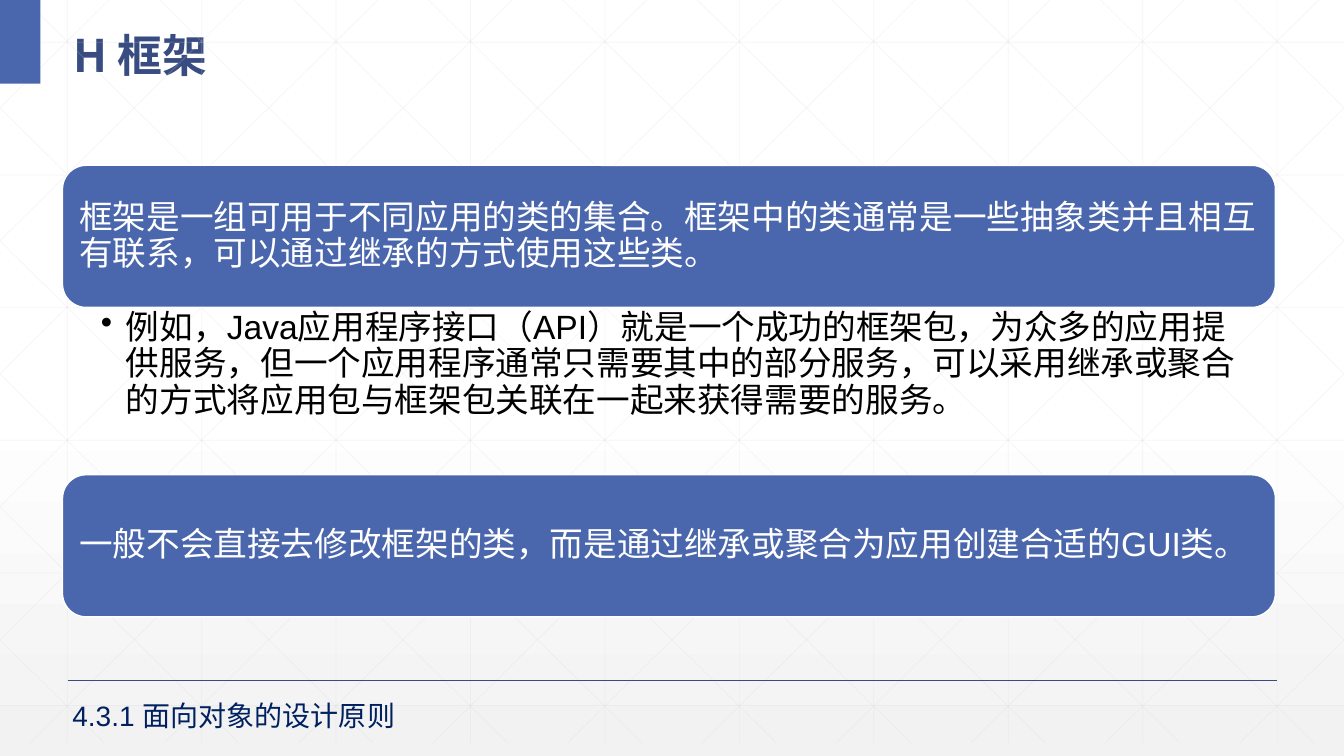
from lxml import etree
from pptx import Presentation
from pptx.dml.color import RGBColor
from pptx.enum import shapes, text
from pptx.oxml import ns
from pptx.util import Inches, Pt

TITLE = "H 框架"
STATEMENTS = [
    (1.64, "框架是一组可用于不同应用的类的集合。框架中的类通常是一些抽象类并且相互有联系，可以通过继承的方式使用这些类。"),
    (4.71, "一般不会直接去修改框架的类，而是通过继承或聚合为应用创建合适的GUI类。"),
]
EXAMPLE = "例如，Java应用程序接口（API）就是一个成功的框架包，为众多的应用提供服务，但一个应用程序通常只需要其中的部分服务，可以采用继承或聚合的方式将应用包与框架包关联在一起来获得需要的服务。"
SECTION = "4.3.1 面向对象的设计原则"

CJK = "Noto Sans CJK SC"
LATIN = "Arial"
BLUE = RGBColor(0x4A, 0x66, 0xAC)
DARK_BLUE = RGBColor(0x38, 0x4C, 0x81)
NAVY = RGBColor(0x00, 0x20, 0x60)
GRID_GREY = RGBColor(0xD9, 0xD9, 0xD9)
PALE_GREY = RGBColor(0xF2, 0xF2, 0xF2)
WHITE = RGBColor(0xFF, 0xFF, 0xFF)
BLACK = RGBColor(0x00, 0x00, 0x00)

WIDTH, HEIGHT = 13.33, 7.5
GRID_BOTTOM = 7.37
COLUMN_STEP, ROW_STEP = 4 / 3, 1.316
DIAGONAL_RUN = 7.45
PANEL_LEFT, PANEL_WIDTH, PANEL_HEIGHT = 0.62, 12.03, 1.41


def add_line(slide, start, end, color, width, opacity=None):
    line = slide.shapes.add_connector(
        shapes.MSO_CONNECTOR.STRAIGHT, *[Inches(v) for v in start + end])
    line.line.color.rgb = color
    line.line.width = Pt(width)
    properties = line._element.spPr
    etree.SubElement(properties, ns.qn("a:effectLst"))
    if opacity:
        shade = properties.find(".//" + ns.qn("a:srgbClr"))
        etree.SubElement(shade, ns.qn("a:alpha"), val=str(opacity * 1000))


def add_grid(slide):
    lines = []
    for column in range(10):
        x = COLUMN_STEP * (column + 0.5)
        lines.append(((x, 0), (x, GRID_BOTTOM)))
    for row in range(6):
        y = 0.42 + ROW_STEP * row
        lines.append(((0, y), (WIDTH, y)))
    slope = GRID_BOTTOM / DIAGONAL_RUN
    for diagonal in range(-5, 10):
        origin = 0.25 + COLUMN_STEP * diagonal
        left, right = max(0, origin), min(WIDTH, origin + DIAGONAL_RUN)
        top, bottom = (left - origin) * slope, (right - origin) * slope
        lines.append(((left, top), (right, bottom)))
        lines.append(((WIDTH - left, top), (WIDTH - right, bottom)))
    for start, end in lines:
        add_line(slide, start, end, GRID_GREY, 0.5, 25)


def write(frame, words, size, color, latin=LATIN, bold=False, spacing=1.0,
          anchor=text.MSO_ANCHOR.TOP, insets=(0.1, 0.05, 0.1, 0.05)):
    frame.word_wrap = True
    frame.auto_size = text.MSO_AUTO_SIZE.NONE
    frame.vertical_anchor = anchor
    (frame.margin_left, frame.margin_top,
     frame.margin_right, frame.margin_bottom) = [Inches(v) for v in insets]
    paragraph = frame.paragraphs[0]
    paragraph.alignment = text.PP_ALIGN.LEFT
    paragraph.line_spacing = spacing
    run = paragraph.add_run()
    run.text = words
    run.font.size, run.font.bold, run.font.name = Pt(size), bold, latin
    run.font.color.rgb = color
    etree.SubElement(run._r.get_or_add_rPr(), ns.qn("a:ea"), typeface=CJK)
    return paragraph


def add_block(slide, preset, left, top, width, height):
    block = slide.shapes.add_shape(
        preset, *[Inches(v) for v in (left, top, width, height)])
    block.shadow.inherit = False
    block.fill.solid()
    block.fill.fore_color.rgb = BLUE
    block.line.fill.background()
    return block


def add_text_box(slide, left, top, width, height):
    return slide.shapes.add_textbox(
        *[Inches(v) for v in (left, top, width, height)]).text_frame


def main():
    deck = Presentation()
    deck.slide_width, deck.slide_height = Inches(WIDTH), Inches(HEIGHT)
    slide = deck.slides.add_slide(deck.slide_layouts[5])

    backdrop = slide.background.fill
    backdrop.gradient()
    backdrop.gradient_angle = 270
    for stop, color, position in zip(
            backdrop.gradient_stops, (WHITE, PALE_GREY), (0.53, 1)):
        stop.color.rgb = color
        stop.position = position

    add_grid(slide)
    add_line(slide, (0.67, 6.75), (12.67, 6.75), DARK_BLUE, 1)
    add_block(slide, shapes.MSO_SHAPE.RECTANGLE, 0, 0, 0.4, 0.83)

    title = slide.shapes.title
    title.left, title.top = Inches(0.63), Inches(0.1)
    title.width, title.height = Inches(12.42), Inches(0.73)
    write(title.text_frame, TITLE, 32, DARK_BLUE, latin=CJK, bold=True,
          spacing=1.3, anchor=text.MSO_ANCHOR.MIDDLE)

    for top, statement in STATEMENTS:
        panel = add_block(slide, shapes.MSO_SHAPE.ROUNDED_RECTANGLE,
                          PANEL_LEFT, top, PANEL_WIDTH, PANEL_HEIGHT)
        panel.line.color.rgb = WHITE
        panel.line.width = Pt(1)
        write(panel.text_frame, statement, 24, WHITE, spacing=0.9,
              anchor=text.MSO_ANCHOR.MIDDLE, insets=(0.1,) * 4)

    example = write(add_text_box(slide, PANEL_LEFT, 3.05, PANEL_WIDTH, 1.66),
                    EXAMPLE, 24, BLACK, spacing=0.9,
                    insets=(0.38, 0.03, 0.19, 0.03))
    indents = example._p.get_or_add_pPr()
    indents.set("marL", str(Inches(0.25)))
    indents.set("indent", str(Inches(-0.25)))
    etree.SubElement(indents, ns.qn("a:buChar"), char="•")

    write(add_text_box(slide, PANEL_LEFT, 6.88, 6.04, 0.44), SECTION, 20, NAVY)

    deck.save("out.pptx")


if __name__ == "__main__":
    main()
